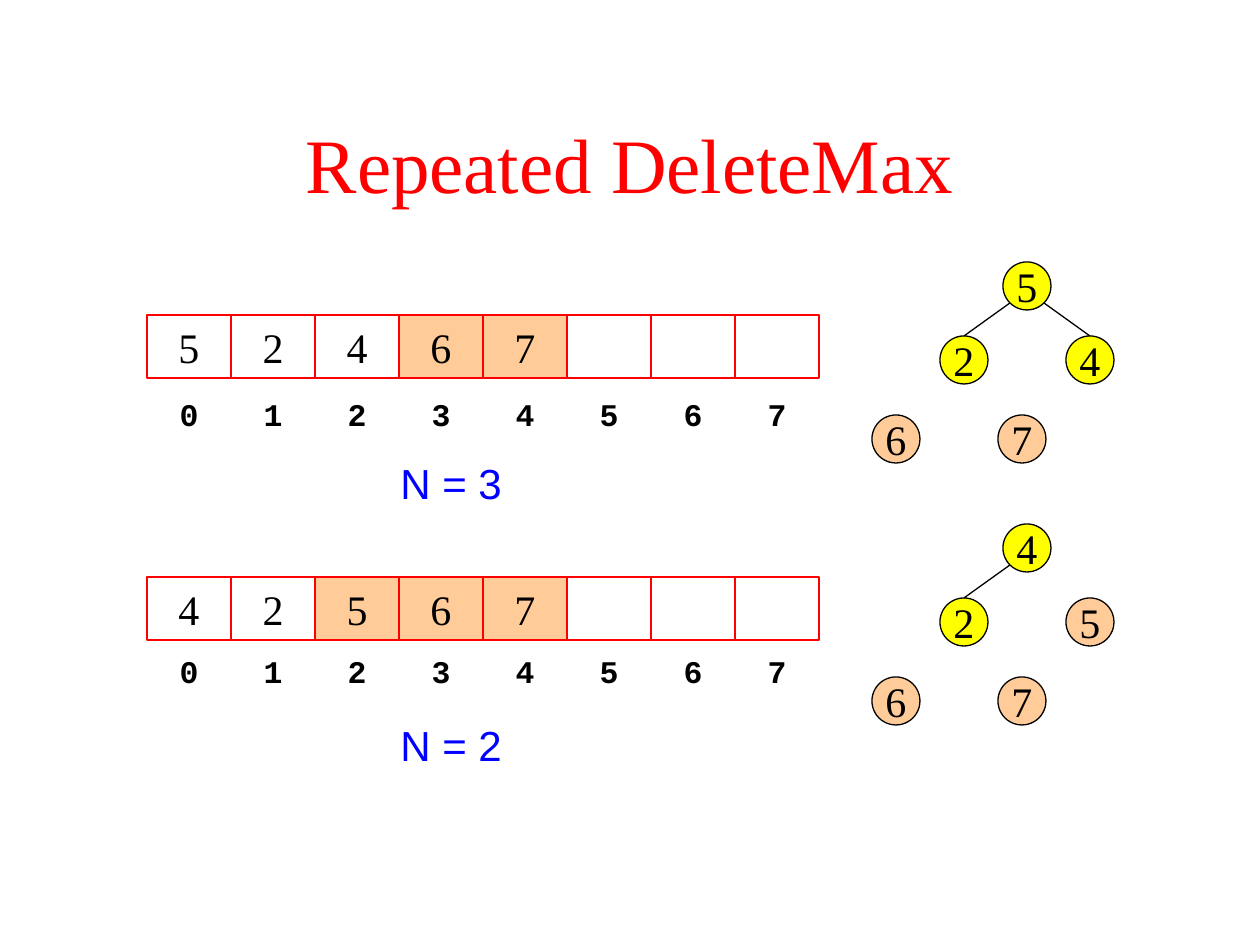
from dataclasses import dataclass
from typing import Any

from lxml import etree
from pptx import Presentation
from pptx import util as u
from pptx.dml.color import RGBColor
from pptx.enum import shapes, text
from pptx.oxml.ns import qn

PX = u.Inches(1) // 126

RED = RGBColor(0xFF, 0x00, 0x00)
BLUE = RGBColor(0x00, 0x00, 0xFF)
BLACK = RGBColor(0x00, 0x00, 0x00)
YELLOW = RGBColor(0xFF, 0xFF, 0x00)
PEACH = RGBColor(0xFF, 0xCC, 0x99)

TITLE = {"name": "Times New Roman", "size": u.Pt(44), "color": RED}
VALUE = {"name": "Times New Roman", "size": u.Pt(24), "color": BLACK}
INDEX = {"name": "Courier New", "size": u.Pt(18), "bold": True, "color": BLACK}
COUNT = {"name": "Arial", "size": u.Pt(24), "color": BLUE}

CENTRED = {"word_wrap": False, "vertical_anchor": text.MSO_ANCHOR.MIDDLE}
GROWING = {"word_wrap": False, "auto_size": text.MSO_AUTO_SIZE.SHAPE_TO_FIT_TEXT}

# Array grid and tree geometry, in px
ARRAY_LEFT, CELL_WIDTH, CELL_HEIGHT, CELL_COUNT = 147, 84, 63, 8
NODE_SIZE = 48
DIAGONAL = 17  # offset of a node's 45° rim point from its centre
# Node places relative to the top of the array, in heap order
NODE_PLACES = [(1003, -53), (940, 21), (1066, 21), (872, 100), (998, 100)]


@dataclass
class HeapState:
    top: int
    index_top: int
    values: list[int]
    heap_size: int


STATES = [
    HeapState(315, 382, [5, 2, 4, 6, 7], 3),
    HeapState(577, 639, [4, 2, 5, 6, 7], 2),
]


def write(shape: Any, words: str, font: dict, frame: dict, centred: bool = True) -> None:
    """Put one formatted paragraph into a shape."""
    for name, value in frame.items():
        setattr(shape.text_frame, name, value)
    paragraph = shape.text_frame.paragraphs[0]
    paragraph.text = words
    paragraph.alignment = text.PP_ALIGN.CENTER if centred else text.PP_ALIGN.LEFT
    for name, value in font.items():
        if name == "color":
            paragraph.font.color.rgb = value
        else:
            setattr(paragraph.font, name, value)


def add_box(slide: Any, kind: Any, left: int, top: int, width: int, height: int,
            fill: RGBColor | None, line: RGBColor, words: str) -> Any:
    """Draw an outlined cell or node holding a value."""
    shape = slide.shapes.add_shape(kind, left * PX, top * PX, width * PX, height * PX)
    shape.shadow.inherit = False
    if fill is None:
        shape.fill.background()
    else:
        shape.fill.solid()
        shape.fill.fore_color.rgb = fill
    shape.line.color.rgb = line
    shape.line.width = u.Pt(0.75)
    if words:
        write(shape, words, VALUE, CENTRED)
    return shape


def add_array(slide: Any, state: HeapState) -> None:
    """Draw the array cells, their indices and the heap size."""
    indices = slide.shapes.add_group_shape()
    for index in range(CELL_COUNT):
        left = ARRAY_LEFT + index * CELL_WIDTH
        used = index < len(state.values)
        fill = PEACH if used and index >= state.heap_size else None
        add_box(slide, shapes.MSO_SHAPE.RECTANGLE, left, state.top, CELL_WIDTH, CELL_HEIGHT,
                fill, RED, str(state.values[index]) if used else "")
        label = indices.shapes.add_textbox(left * PX, state.index_top * PX,
                                           CELL_WIDTH * PX, CELL_HEIGHT * PX)
        write(label, str(index), INDEX, CENTRED)
    count = slide.shapes.add_textbox(388 * PX, (state.top + 136) * PX, 127 * PX, 63 * PX)
    write(count, f"N = {state.heap_size}", COUNT, GROWING, centred=False)


def add_edge(slide: Any, parent: Any, child: Any) -> None:
    """Join a parent's lower rim to the top of its child."""
    middle = parent.left + parent.width // 2
    side = 1 if child.left > parent.left else -1
    begin_y = parent.top + parent.height // 2 + DIAGONAL * PX
    edge = slide.shapes.add_connector(
        shapes.MSO_CONNECTOR.STRAIGHT, middle + side * DIAGONAL * PX, begin_y,
        child.left + child.width // 2, child.top)
    edge.end_connect(child, 0)
    edge.line.color.rgb = BLACK
    edge.line.width = u.Pt(0.75)
    properties = edge.element.find(qn("p:spPr"))
    etree.SubElement(properties, qn("a:effectLst"))


def add_tree(slide: Any, state: HeapState) -> None:
    """Draw heap nodes in yellow, removed ones in peach, and the heap's edges."""
    nodes = []
    for index, (value, (left, offset)) in enumerate(zip(state.values, NODE_PLACES)):
        fill = YELLOW if index < state.heap_size else PEACH
        nodes.append(add_box(slide, shapes.MSO_SHAPE.OVAL, left, state.top + offset,
                             NODE_SIZE, NODE_SIZE, fill, BLACK, str(value)))
    for index in range(1, state.heap_size):
        add_edge(slide, nodes[(index - 1) // 2], nodes[index])


def main() -> None:
    presentation = Presentation()
    presentation.slide_width, presentation.slide_height = u.Inches(10), u.Inches(7.5)
    slide = presentation.slides.add_slide(presentation.slide_layouts[5])

    # Title
    title = slide.shapes.title
    place = {"left": 94, "top": 84, "width": 1072, "height": 158}
    for name, value in place.items():
        setattr(title, name, value * PX)
    write(title, "Repeated DeleteMax", TITLE, {"vertical_anchor": text.MSO_ANCHOR.MIDDLE})

    # Heap before and after one more deletion
    for state in STATES:
        add_array(slide, state)
        add_tree(slide, state)

    presentation.save("out.pptx")


if __name__ == "__main__":
    main()
